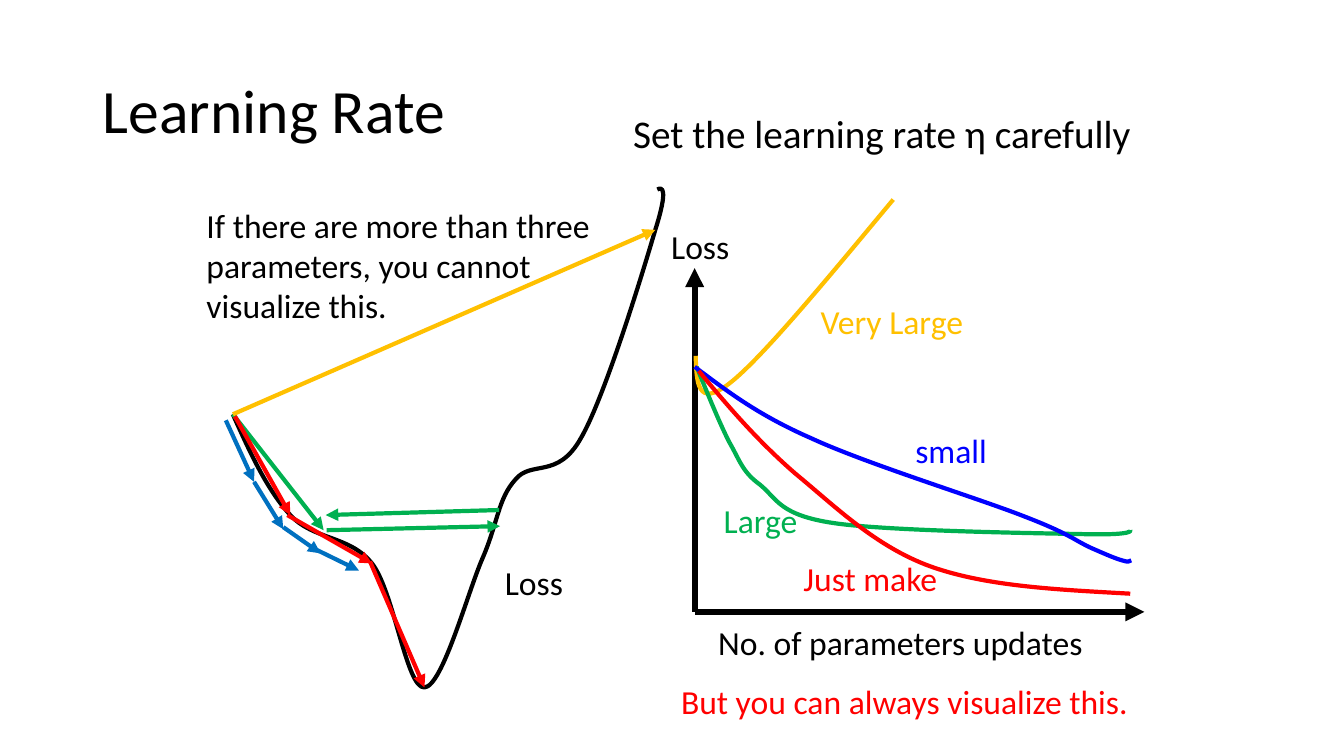
from lxml import etree
from pptx import Presentation
from pptx.dml.color import RGBColor
from pptx.enum.shapes import MSO_CONNECTOR
from pptx.enum.text import MSO_ANCHOR, MSO_AUTO_SIZE, PP_ALIGN
from pptx.oxml.ns import qn
from pptx.util import Inches, Pt

STRAIGHT = MSO_CONNECTOR.STRAIGHT
LEFT, CENTER = PP_ALIGN.LEFT, PP_ALIGN.CENTER
TOP, MIDDLE = MSO_ANCHOR.TOP, MSO_ANCHOR.MIDDLE
NO_FIT = MSO_AUTO_SIZE.NONE

THEME = {
    "font": "Calibri", "title": 44, "subtitle": 28, "label": 24,
    "axis": 4.5, "curve": 3,
    "black": "000000", "yellow": "FFC000", "green": "00B050",
    "blue": "0000FF", "red": "FF0000", "steel": "0070C0",
}
CELL = Inches(1)  # one column or row of the slide grid

prs = Presentation()
prs.slide_width, prs.slide_height = int(13.33 * CELL), int(7.5 * CELL)
slide = prs.slides.add_slide(prs.slide_layouts[1])
shapes = slide.shapes


def write(holder, box, text, size, color, align=LEFT, anchor=TOP, spacing=1.0):
    holder.left, holder.top, holder.width, holder.height = (
        int(n * CELL) for n in box)
    frame = holder.text_frame
    frame.text = text
    paragraph = frame.paragraphs[0]
    frame_format = {"word_wrap": True, "auto_size": NO_FIT,
                    "vertical_anchor": anchor}
    paragraph_format = {"alignment": align, "line_spacing": spacing}
    font_format = {"name": THEME["font"], "size": Pt(THEME[size])}
    for target, values in ((frame, frame_format), (paragraph, paragraph_format),
                           (paragraph.runs[0].font, font_format)):
        for key, value in values.items():
            setattr(target, key, value)
    paragraph.runs[0].font.color.rgb = RGBColor.from_string(THEME[color])
    return paragraph


def arrow(start, end, color, weight="curve"):
    line = shapes.add_connector(
        STRAIGHT, *(int(n * CELL) for n in (*start, *end)))
    line.line.color.rgb = RGBColor.from_string(THEME[color])
    line.line.width = Pt(THEME[weight])
    etree.SubElement(line.line._get_or_add_ln(), qn("a:tailEnd"), type="triangle")
    etree.SubElement(line._element.spPr, qn("a:effectLst"))


# Title and subtitle
write(shapes.title, (0.92, 0.4, 11.5, 1.45), "Learning Rate", "title", "black",
      anchor=MIDDLE, spacing=0.9)
advice = write(slide.placeholders[1], (6.18, 1.09, 5.62, 0.77),
               "Set the learning rate η carefully", "subtitle", "black",
               spacing=0.9)
advice.space_before = Pt(10)
advice_props = advice._p.get_or_add_pPr()
advice_props.set("marL", "0")
advice_props.set("indent", "0")
etree.SubElement(advice_props, qn("a:buNone"))

# Axes of the loss chart
origin = (6.89, 6.07)
for axis_end in ((11.35, 6.07), (6.89, 2.66)):
    arrow(origin, axis_end, "black", "axis")

# Curves: a frame, a start point, then two control points and an end per segment
curves = [
    ("black", (2.31, 1.87, 4.27, 4.95),
     [(2.31, 4.11), (2.48, 4.49), (2.65, 4.86), (2.88, 5.11),
      (3.11, 5.36), (3.47, 5.31), (3.69, 5.59),
      (3.91, 5.87), (4.03, 6.83), (4.21, 6.82),
      (4.39, 6.81), (4.64, 5.87), (4.79, 5.53),
      (4.94, 5.18), (4.94, 4.95), (5.11, 4.76),
      (5.27, 4.56), (5.53, 4.76), (5.76, 4.35),
      (6, 3.94), (6.38, 2.69), (6.5, 2.28),
      (6.63, 1.87), (6.57, 1.85), (6.52, 1.88)]),
    ("yellow", (6.9, 1.98, 1.96, 1.92),
     [(6.9, 3.53), (6.91, 3.79), (6.91, 4.06), (7.24, 3.8),
      (7.56, 3.55), (8.21, 2.76), (8.86, 1.98)]),
    ("green", (6.91, 3.64, 4.3, 1.66),
     [(6.91, 3.64), (7.02, 3.91), (7.13, 4.18), (7.23, 4.38),
      (7.34, 4.57), (7.36, 4.68), (7.54, 4.81),
      (7.71, 4.95), (7.73, 5.11), (8.27, 5.19),
      (8.81, 5.27), (10.29, 5.29), (10.78, 5.3),
      (11.27, 5.31), (11.21, 5.26), (11.21, 5.26)]),
    ("blue", (6.89, 3.64, 4.32, 1.93),
     [(6.89, 3.64), (7.2, 3.87), (7.5, 4.11), (8.05, 4.35),
      (8.59, 4.6), (9.69, 4.94), (10.15, 5.12),
      (10.62, 5.3), (10.67, 5.37), (10.83, 5.44),
      (10.99, 5.51), (11.06, 5.54), (11.13, 5.56),
      (11.19, 5.58), (11.2, 5.57), (11.22, 5.56)]),
    ("red", (6.93, 3.68, 4.28, 2.21),
     [(6.93, 3.68), (7.22, 4.03), (7.51, 4.37), (7.89, 4.7),
      (8.28, 5.02), (8.68, 5.42), (9.23, 5.62),
      (9.79, 5.82), (10.5, 5.85), (11.21, 5.89)]),
]
for color, box, points in curves:
    builder = shapes.build_freeform(*(n * CELL for n in points[0]))
    builder.add_line_segments(
        [(x * CELL, y * CELL) for x, y in points[1:]], close=False)
    curve = builder.convert_to_shape()
    left, top, width, height = (int(n * CELL) for n in box)
    curve.left, curve.top, curve.width, curve.height = left, top, width, height
    curve.shadow.inherit = False
    curve.fill.background()
    curve.line.color.rgb = RGBColor.from_string(THEME[color])
    curve.line.width = Pt(THEME["curve"])

    # Fit the outline to its frame and join each three points into one Bezier
    outline = next(curve._element.iter(qn("a:path")))
    outline.set("w", str(width))
    outline.set("h", str(height))
    for vertex, (x, y) in zip(list(outline.iter(qn("a:pt"))), points):
        vertex.set("x", str(int(x * CELL) - left))
        vertex.set("y", str(int(y * CELL) - top))
    for index, straight in enumerate(outline.findall(qn("a:lnTo"))):
        if index % 3 == 0:
            bezier = etree.SubElement(outline, qn("a:cubicBezTo"))
        bezier.append(straight[0])
        outline.remove(straight)

# Descent steps on the loss surface, one colour per learning rate
descents = {
    "green": [((2.31, 4.11), (3.21, 5.26)), ((3.24, 5.26), (4.96, 5.22)),
              ((4.95, 5.06), (3.23, 5.11))],
    "yellow": [((2.31, 4.11), (6.5, 2.28))],
    "red": [((2.33, 4.13), (2.88, 5.11)), ((2.85, 5.11), (3.69, 5.59)),
            ((3.67, 5.57), (4.21, 6.82))],
    "steel": [((2.24, 4.17), (2.52, 4.78)), ((2.52, 4.78), (2.81, 5.25)),
              ((2.81, 5.23), (3.18, 5.49)), ((3.13, 5.45), (3.56, 5.66))],
}
for color, steps in descents.items():
    for start, end in steps:
        arrow(start, end, color)

# Labels and remarks
labels = [
    ("No. of parameters updates", (6.7, 6.12, 4.46, 0.5), "black", CENTER),
    ("Loss", (6.32, 2.19, 1.25, 0.5), "black", CENTER),
    ("Loss", (4.67, 5.53, 1.25, 0.5), "black", CENTER),
    ("Very Large", (8.04, 2.94, 2.4, 0.5), "yellow", LEFT),
    ("Large", (7.08, 4.91, 0.96, 0.5), "green", LEFT),
    ("small", (8.98, 4.22, 0.96, 0.5), "blue", LEFT),
    ("Just make", (7.87, 5.49, 1.59, 0.5), "red", LEFT),
    ("If there are more than three parameters, you cannot visualize this.",
     (1.95, 1.98, 4.43, 1.31), "black", LEFT),
    ("But you can always visualize this.", (6.37, 6.71, 5.2, 0.5), "red", CENTER),
]
for text, box, color, align in labels:
    write(shapes.add_textbox(0, 0, CELL, CELL), box, text, "label", color, align)

prs.save("out.pptx")
